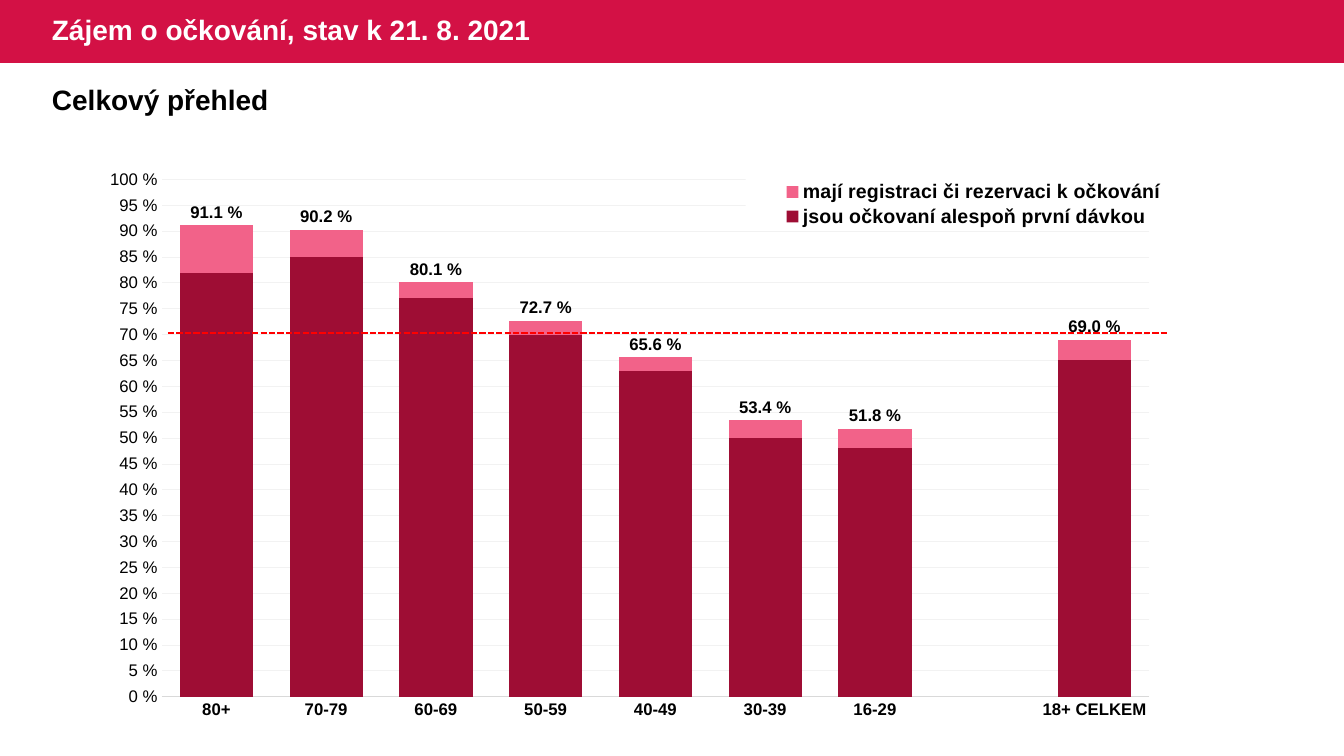
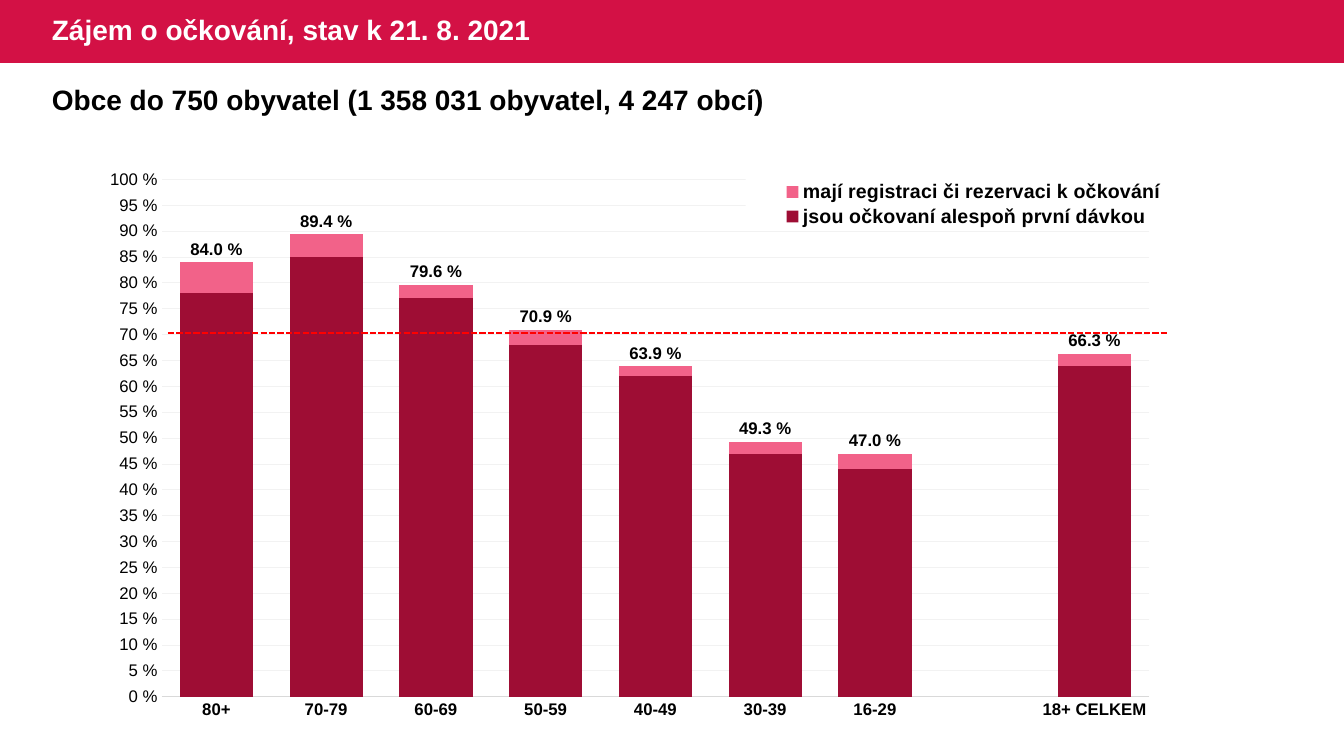
"""Build two slides of stacked-look column charts on interest in vaccination."""
import dataclasses

import lxml.etree
import pptx
import pptx.chart.data
import pptx.dml.color
import pptx.enum.chart
import pptx.enum.dml
import pptx.enum.shapes
import pptx.enum.text
import pptx.oxml.ns
import pptx.util


@dataclasses.dataclass(frozen=True)
class Theme:
    face: str = "Arial"
    band: str = "D31145"
    white: str = "FFFFFF"
    black: str = "000000"
    pale: str = "F26289"
    dark: str = "9E0D34"
    goal: str = "FF0000"
    axis: str = "D9D9D9"
    grid: str = "F2F2F2"
    head: int = 20
    key: int = 14
    label: int = 12
    base: int = 10


theme = Theme()
PX = 914400 / 100.8
WIDE, HIGH, BAND = 1344, 756, 63
TITLE = "Zájem o očkování, stav k 21. 8. 2021"
AGES = ["80+", "70-79", "60-69", "50-59", "40-49", "30-39", "16-29", "", "18+ CELKEM"]
KEYS = ["mají registraci či rezervaci k očkování", "jsou očkovaní alespoň první dávkou"]
PAGES = [
    (
        "Celkový přehled",
        [91.1, 90.2, 80.1, 72.7, 65.6, 53.4, 51.8, None, 69],
        [82, 85, 77, 70, 63, 50, 48, None, 65],
    ),
    (
        "Obce do 750 obyvatel (1 358 031 obyvatel, 4 247 obcí)",
        [84, 89.4, 79.6, 70.9, 63.9, 49.3, 47, None, 66.3],
        [78, 85, 77, 68, 62, 47, 44, None, 64],
    ),
]
qn = pptx.oxml.ns.qn
rgb = pptx.dml.color.RGBColor.from_string
none = pptx.enum.chart.XL_TICK_MARK.NONE


def style(font, size, bold=False, color=theme.black):
    font.name = theme.face
    font.size = pptx.util.Pt(size)
    font.bold = bold
    font.color.rgb = rgb(color)


def place(parts, inner=False):
    root = lxml.etree.Element(qn("c:layout"))
    box = lxml.etree.SubElement(root, qn("c:manualLayout"))
    pairs = [("layoutTarget", "inner")] if inner else []
    pairs += [("xMode", "edge"), ("yMode", "edge"), *zip("xywh", parts)]
    for tag, val in pairs:
        lxml.etree.SubElement(box, qn(f"c:{tag}")).set("val", str(val))
    return root


deck = pptx.Presentation()
deck.slide_width = round(WIDE * PX)
deck.slide_height = round(HIGH * PX)

for topic, total, given in PAGES:
    slide = deck.slides.add_slide(deck.slide_layouts[6])
    shapes = slide.shapes

    band = shapes.add_shape(
        pptx.enum.shapes.MSO_SHAPE.RECTANGLE, 0, 0, deck.slide_width, round(BAND * PX)
    )
    band.shadow.inherit = False
    band.fill.solid()
    band.fill.fore_color.rgb = rgb(theme.band)
    band.line.fill.background()

    for text, top, width, height, color in (
        (TITLE, 0, 595, BAND, theme.white),
        (topic, 77, 1249, 44, theme.black),
    ):
        spot = [round(n * PX) for n in (42, top, width, height)]
        frame = shapes.add_textbox(*spot).text_frame
        frame.word_wrap = True
        frame.vertical_anchor = pptx.enum.text.MSO_ANCHOR.MIDDLE
        frame.text = text
        line = frame.paragraphs[0]
        line.line_spacing = 0.9 if text == TITLE else 1.0
        style(line.runs[0].font, theme.head, True, color)

    data = pptx.chart.data.CategoryChartData()
    data.categories = AGES
    for key, vals in zip(KEYS, (total, given)):
        data.add_series(key, vals)
    spot = [round(n * PX) for n in (110, 161, 1114, 578)]
    kind = pptx.enum.chart.XL_CHART_TYPE.COLUMN_CLUSTERED
    chart = shapes.add_chart(kind, *spot, data).chart
    chart.has_title = False
    style(chart.font, theme.base)

    plot = chart.plots[0]
    plot.gap_width = 50
    plot.overlap = 100
    plot.vary_by_categories = False
    for bars, color in zip(plot.series, (theme.pale, theme.dark)):
        bars.format.fill.solid()
        bars.format.fill.fore_color.rgb = rgb(color)
        bars.invert_if_negative = False
    tags = plot.series[0].data_labels
    tags.show_value = True
    tags.number_format = '0.0" %"'
    tags.number_format_is_linked = False
    tags.position = pptx.enum.chart.XL_LABEL_POSITION.OUTSIDE_END
    style(tags.font, theme.label, True)

    across, up = chart.category_axis, chart.value_axis
    for axis, bold in ((across, True), (up, False)):
        axis.major_tick_mark = axis.minor_tick_mark = none
        style(axis.tick_labels.font, theme.label, bold)
    across.format.line.color.rgb = rgb(theme.axis)
    across.format.line.width = pptx.util.Pt(0.75)
    up.format.line.fill.background()
    up.minimum_scale, up.maximum_scale, up.major_unit = 0, 100, 5
    up.tick_labels.number_format = '0" %"'
    up.tick_labels.number_format_is_linked = False
    up.has_major_gridlines = True
    up.major_gridlines.format.line.color.rgb = rgb(theme.grid)
    up.major_gridlines.format.line.width = pptx.util.Pt(0.5)

    chart.has_legend = True
    chart.legend.position = pptx.enum.chart.XL_LEGEND_POSITION.TOP
    chart.legend.include_in_layout = False
    style(chart.legend.font, theme.key, True)

    area = chart.element.find(".//" + qn("c:plotArea"))
    legend = chart.element.find(".//" + qn("c:legend"))
    for part in (area, legend):
        for old in part.findall(qn("c:layout")):
            part.remove(old)
    area.insert(0, place((0.045, 0.032, 0.888, 0.895), True))
    over = legend.find(qn("c:overlay"))
    over.addprevious(place((0.57, 0.03, 0.41, 0.09)))
    look = lxml.etree.Element(qn("c:spPr"))
    fill = lxml.etree.SubElement(look, qn("a:solidFill"))
    lxml.etree.SubElement(fill, qn("a:srgbClr")).set("val", theme.white)
    over.addnext(look)

    ends = [round(n * PX) for n in (168, 333, 1168, 333)]
    goal = shapes.add_connector(pptx.enum.shapes.MSO_CONNECTOR.STRAIGHT, *ends)
    goal.line.color.rgb = rgb(theme.goal)
    goal.line.width = pptx.util.Pt(1.5)
    goal.line.dash_style = pptx.enum.dml.MSO_LINE.SQUARE_DOT
    lxml.etree.SubElement(goal.element.spPr, qn("a:effectLst"))

deck.save("out.pptx")
